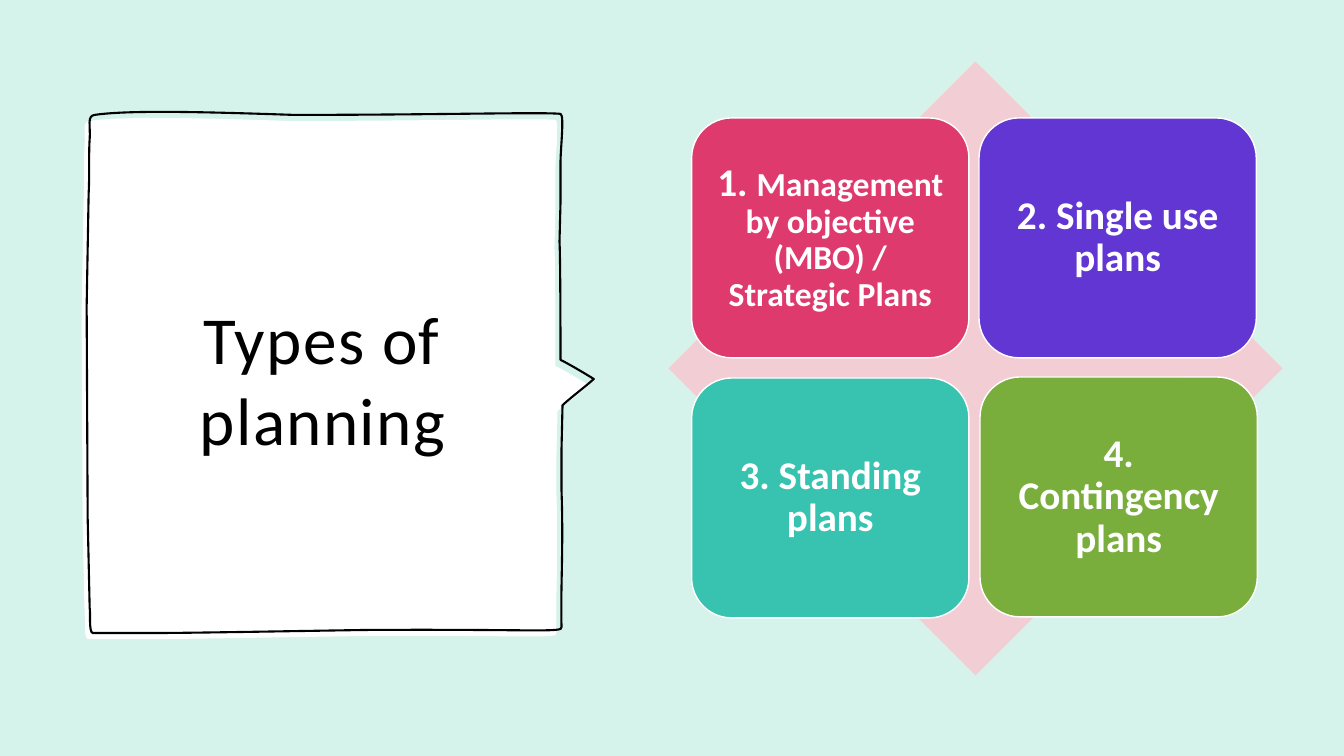
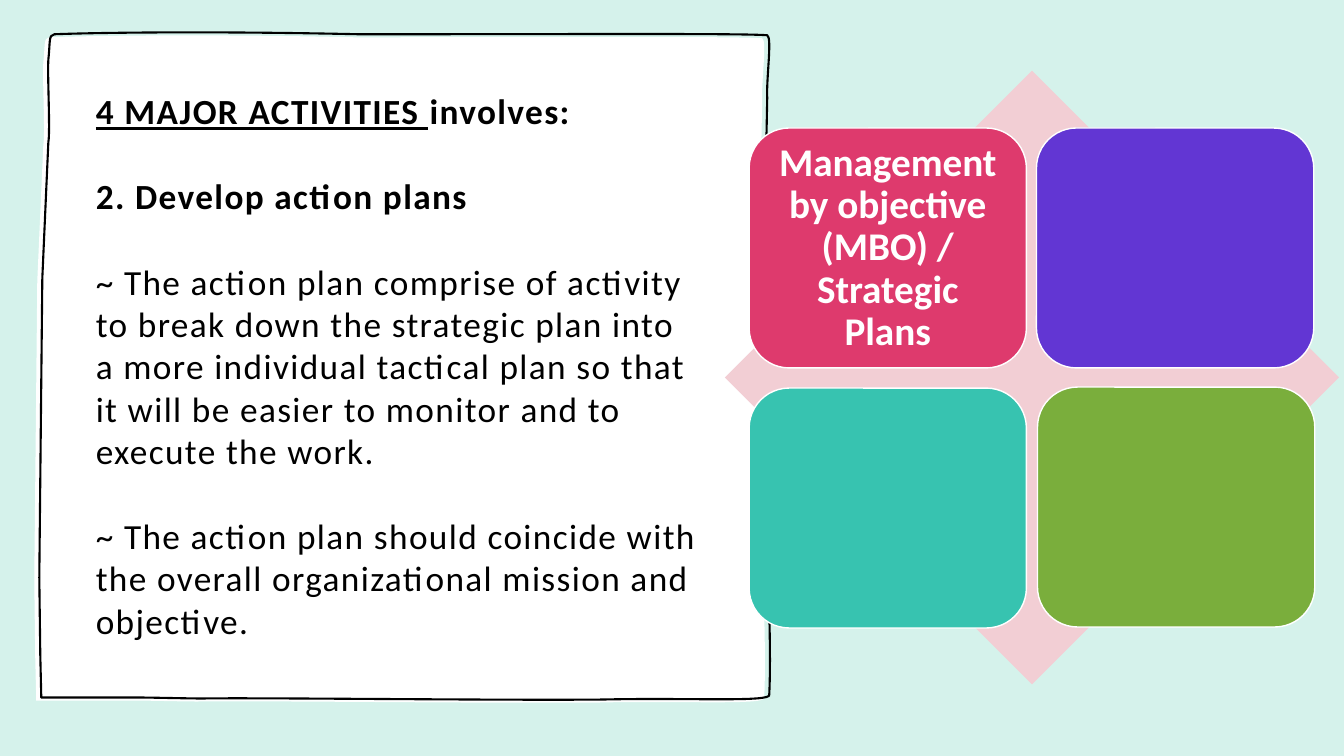
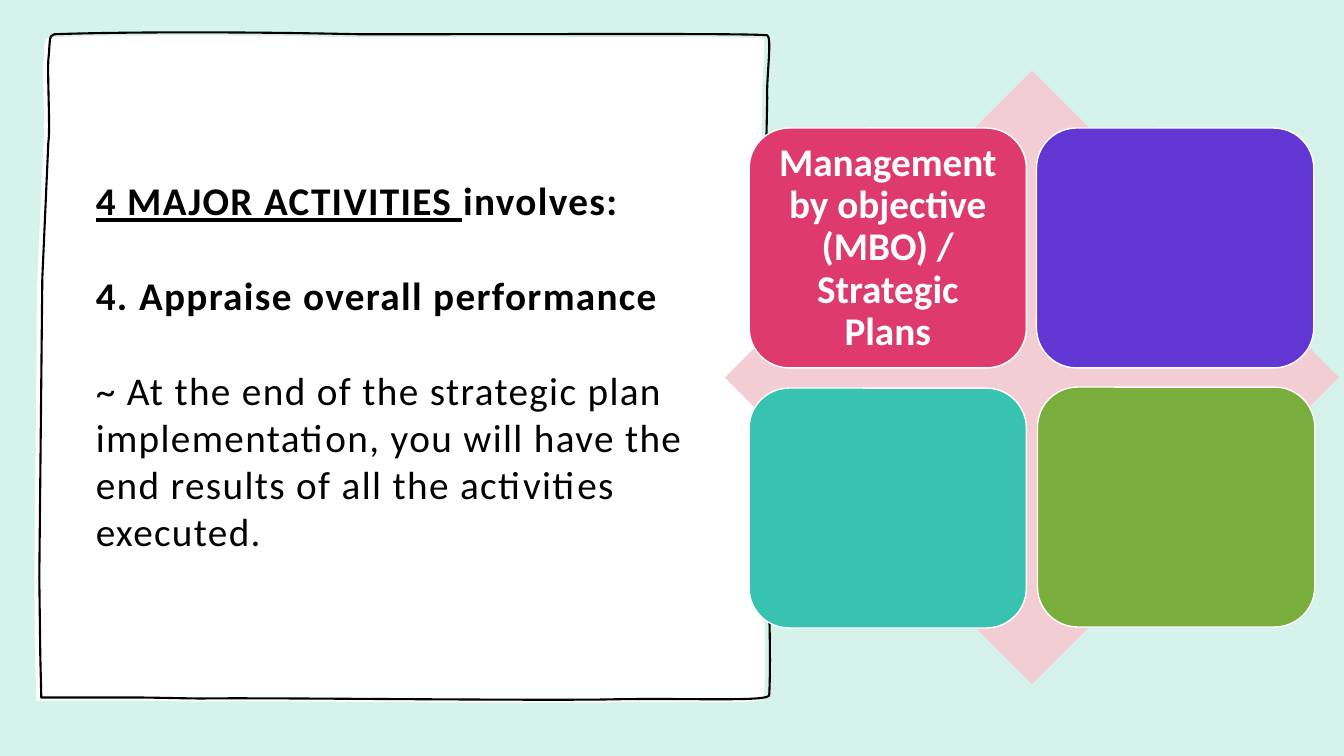
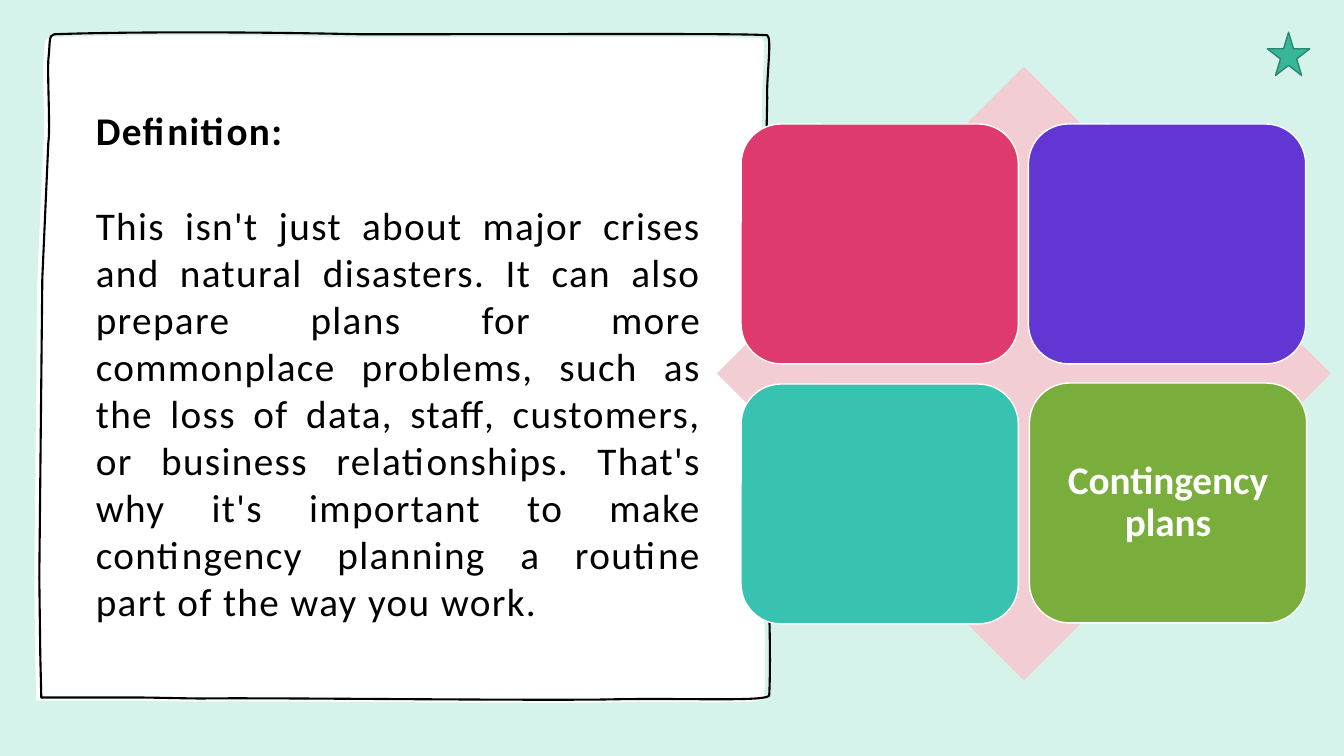
import pptx
import pptx.util
import pptx.dml.color
import pptx.enum.shapes
import pptx.enum.text
import pptx.oxml.ns
import lxml.etree

Inches = pptx.util.Inches
Pt = pptx.util.Pt
Kind = pptx.enum.shapes.MSO_SHAPE
Align = pptx.enum.text.PP_ALIGN
hue = pptx.dml.color.RGBColor.from_string
qn = pptx.oxml.ns.qn

BLACK, WHITE, MINT = "000000", "FFFFFF", "D5F2EB"
CARDS = [
    ("DE3A6D", 0, 0), ("6236D3", 2.85, 0),
    ("37C3B0", 0, 2.58), ("7AAE3C", 2.86, 2.57),
]
BOLD = {"bold": True}
UNDER = {"bold": True, "underline": True}
PLAIN = {"bold": False}


def paint(shape, fill, line=None, width=1):
    shape.shadow.inherit = False
    for part, tone in ((shape.fill, fill), (shape.line.fill, line)):
        if tone:
            part.solid()
            part.fore_color.rgb = hue(tone)
        else:
            part.background()
    if line:
        shape.line.width = Pt(width)


def write(para, runs, size, tone, track=0):
    for text, look in runs:
        run = para.add_run()
        run.text = text
        form = {"name": "Calibri", "size": Pt(size)} | look
        for key, value in form.items():
            setattr(run.font, key, value)
        run.font.color.rgb = hue(tone)
        if track:
            run._r.get_or_add_rPr().set("spc", str(track))


NOTE = [
    (0.82, 5.19), (0.84, 6.09), (0.85, 6.14, 0.83, 6.33, 0.87, 6.34), (1.48, 6.34),
    (1.83, 6.34, 2.91, 6.32, 3.58, 6.31), (5.28, 6.3, 5.54, 6.34, 5.52, 6.28),
    (5.51, 5.87, 5.54, 5.52, 5.52, 4.93), (5.52, 4.51), (5.53, 4.08),
    (5.64, 3.98, 5.74, 3.91, 5.84, 3.82), (5.76, 3.77, 5.61, 3.68, 5.51, 3.63),
    (5.51, 3.59, 5.51, 2.62, 5.5, 2.46), (5.51, 2.07), (5.51, 1.68),
    (5.51, 1.53, 5.55, 1.2, 5.51, 1.19), (5.35, 1.17, 4.29, 1.2, 2.86, 1.2),
    (1.99, 1.17, 1.23, 1.15, 0.89, 1.2), (0.81, 1.21, 0.85, 1.31, 0.84, 1.44),
    (0.83, 1.57, 0.84, 1.8, 0.83, 1.98), (0.81, 3.1), (0.82, 5.19),
]
PAGE = [
    (0.34, 5.76), (0.35, 6.53), (0.36, 6.95), (0.7, 6.95, 0.98, 6.95, 1.32, 6.95),
    (1.45, 6.95, 1.82, 6.96, 1.96, 6.96), (2.5, 6.95, 4.9, 6.98, 5.93, 6.97),
    (6.77, 6.95, 7.62, 7, 7.58, 6.92), (7.6, 6.5, 7.57, 5.92, 7.57, 5.48),
    (7.54, 4.59), (7.56, 4.07), (7.73, 3.93, 7.8, 3.91, 7.94, 3.81),
    (7.85, 3.77, 7.72, 3.72, 7.54, 3.67), (7.54, 3.62, 7.56, 2.18, 7.55, 1.99),
    (7.55, 1.5), (7.56, 1), (7.55, 0.81, 7.61, 0.4, 7.56, 0.38),
    (7.31, 0.36, 5.71, 0.37, 3.51, 0.37), (2.18, 0.34, 1.01, 0.35, 0.49, 0.37),
    (0.43, 0.38, 0.45, 0.44, 0.43, 0.62), (0.42, 0.8, 0.45, 1.33, 0.43, 1.44),
    (0.37, 2.79), (0.34, 5.76),
]

BODY = (0.69, 0.49, 6.37, 6.27)
MAJOR = [("4 MAJOR ACTIVITIES ", UNDER), ("involves:", BOLD)]
GOAL = "Management by objective (MBO) / Strategic Plans"

SLIDES = [
    {
        "edge": NOTE, "drop": -0.06, "box": (1.37, 1.66, 3.66, 4.18),
        "size": 48, "align": Align.CENTER, "left": 0,
        "text": [[("Types of planning", PLAIN)]],
        "kite": (6.63, 0.61), "grid": (6.86, 1.17),
        "cards": {
            0: [("1. ", BOLD), (GOAL, {"bold": True, "size": Pt(24)})],
            1: [("2. Single use plans", BOLD)],
            2: [("3. Standing plans", BOLD)],
            3: [("4. Contingency plans", BOLD)],
        },
    },
    {
        "edge": PAGE, "drop": -0.03, "box": BODY,
        "size": 25.2, "align": Align.LEFT, "left": 0.16,
        "text": [
            MAJOR,
            [("2. Develop action plans", BOLD)],
            [("~ The action plan comprise of activity to break down the strategic plan into a more individual tactical plan so that it will be easier to monitor and to execute the work.", PLAIN)],
            [("~ The action plan should coincide with the overall organizational mission and objective.", PLAIN)],
        ],
        "kite": (7.19, 0.7), "grid": (7.43, 1.27), "cards": {0: [(GOAL, BOLD)]},
    },
    {
        "edge": PAGE, "drop": -0.03, "box": BODY,
        "size": 28, "align": Align.LEFT, "left": 0.16,
        "text": [
            MAJOR,
            [("4. Appraise overall performance", BOLD)],
            [("~ At the end of the strategic plan implementation, you will have the end results of all the activities executed.", PLAIN)],
        ],
        "kite": (7.19, 0.7), "grid": (7.43, 1.27), "cards": {0: [(GOAL, BOLD)]},
    },
    {
        "edge": PAGE, "drop": -0.03, "box": BODY,
        "size": 28, "align": Align.JUSTIFY, "left": 0.16,
        "text": [
            [("Definition:", BOLD)],
            [("This isn't just about major crises and natural disasters. It can also prepare plans for more commonplace problems, such as the loss of data, staff, customers, or business relationships. That's why it's important to make contingency planning a routine part of the way you work.", PLAIN)],
        ],
        "kite": (7.11, 0.66), "grid": (7.35, 1.23),
        "cards": {3: [("Contingency plans", BOLD)]},
        "star": (12.57, 0.32, 0.42, 0.43),
    },
]

deck = pptx.Presentation()
deck.slide_width, deck.slide_height = Inches(13.33), Inches(7.5)
back = deck.slide_master.background.fill
back.solid()
back.fore_color.rgb = hue(MINT)

for data in SLIDES:
    slide = deck.slides.add_slide(deck.slide_layouts[5])
    shapes = slide.shapes
    title = shapes.title
    paint(shapes.add_shape(Kind.RECTANGLE, 0, 0, deck.slide_width, deck.slide_height), MINT)

    for dx, dy, fill, line in ((0, 0, WHITE, None), (0.05, data["drop"], None, BLACK)):
        steps = [
            [(Inches(x + dx), Inches(y + dy)) for x, y in zip(step[::2], step[1::2])]
            for step in data["edge"]
        ]
        pen = shapes.build_freeform(*steps[0][-1])
        pen.add_line_segments([step[-1] for step in steps[1:]], close=True)
        sheet = pen.convert_to_shape()
        paint(sheet, fill, line, 1.5)
        nodes = list(sheet._element.iter(qn("a:lnTo")))
        for node, step in zip(nodes, steps[1:]):
            if len(step) == 3:
                node.tag = qn("a:cubicBezTo")
                for n, (x, y) in enumerate(step[:2]):
                    spot = lxml.etree.SubElement(node, qn("a:pt"))
                    spot.set("x", str(x - sheet.left))
                    spot.set("y", str(y - sheet.top))
                    node.insert(n, spot)

    shapes._spTree.append(title._element)
    title.left, title.top, title.width, title.height = map(Inches, data["box"])
    frame = title.text_frame
    frame.word_wrap = True
    frame.auto_size = pptx.enum.text.MSO_AUTO_SIZE.NONE
    frame.vertical_anchor = pptx.enum.text.MSO_ANCHOR.MIDDLE
    for n, runs in enumerate(data["text"]):
        para = frame.add_paragraph() if n else frame.paragraphs[0]
        para.alignment = data["align"]
        para.space_before = Pt(round(data["size"] * 1.21, 1) if n else 0)
        para._p.get_or_add_pPr().set("marL", str(Inches(data["left"])))
        write(para, runs, data["size"], BLACK, 100)

    group = shapes.add_group_shape().shapes
    kite = group.add_shape(Kind.DIAMOND, *map(Inches, (*data["kite"], 6.09, 6.09)))
    paint(kite, "F2CED4")
    left, top = data["grid"]
    for n, (tone, dx, dy) in enumerate(CARDS):
        place = (left + dx, top + dy, 2.75, 2.38)
        card = group.add_shape(Kind.ROUNDED_RECTANGLE, *map(Inches, place))
        paint(card, tone, WHITE)
        if n in data["cards"]:
            frame = card.text_frame
            for side in ("left", "top", "right", "bottom"):
                setattr(frame, "margin_" + side, Inches(0.12))
            para = frame.paragraphs[0]
            para.alignment = Align.CENTER
            para.line_spacing = 0.9
            write(para, data["cards"][n], 28, WHITE)

    if "star" in data:
        star = shapes.add_shape(Kind.STAR_5_POINT, *map(Inches, data["star"]))
        paint(star, "38B698", "298770")

deck.save("out.pptx")
